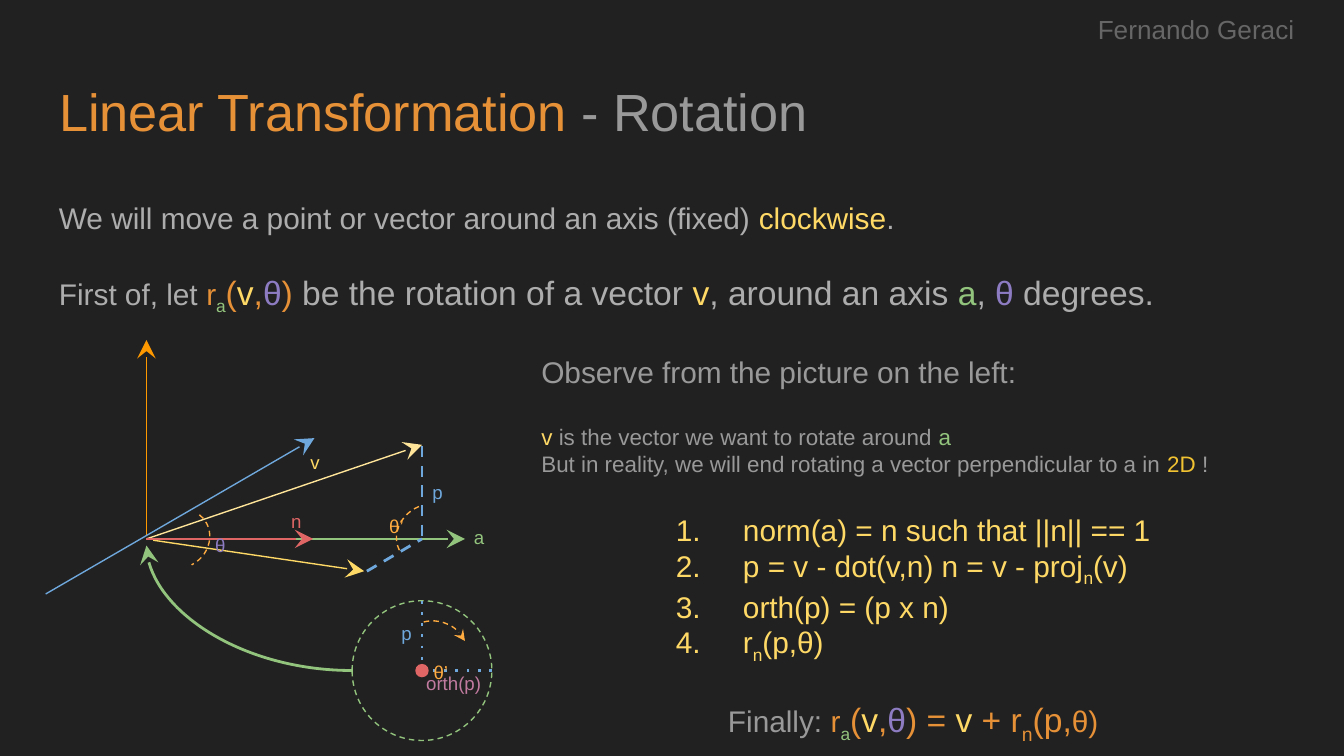
from lxml import etree
from pptx import Presentation
from pptx.dml.color import RGBColor
from pptx.enum.shapes import MSO_CONNECTOR, MSO_SHAPE
from pptx.enum.text import MSO_ANCHOR, MSO_AUTO_SIZE, PP_ALIGN
from pptx.oxml.ns import qn
from pptx.util import Inches, Pt

STRAIGHT, CURVE = MSO_CONNECTOR.STRAIGHT, MSO_CONNECTOR.CURVE
ARC, OVAL = MSO_SHAPE.ARC, MSO_SHAPE.OVAL
TOP, MIDDLE = MSO_ANCHOR.TOP, MSO_ANCHOR.MIDDLE
LEFT, CENTER = PP_ALIGN.LEFT, PP_ALIGN.CENTER

BACKGROUND, GRAY, LIGHT, DIM = "212121", "999999", "ADADAD", "666666"
ORANGE, AMBER, YELLOW, CREAM = "E69138", "FFAB40", "FFD966", "FFE599"
GREEN, BLUE, PURPLE, RED = "93C47D", "6FA8DC", "8E7CC3", "E06666"

# Runs are (text, colour, size, subscript); the last two are optional
ROTATION = [("r", ORANGE, 16), ("a", GREEN, 16, True), ("(", ORANGE, 18),
            ("v", YELLOW, 18), (",", ORANGE, 18), ("θ", PURPLE, 18)]


def rgb(value):
    return RGBColor.from_string(value)


def add_run(p, text, color, size=16, sub=False):
    r = p.add_run()
    r.text = text
    r.font.name = "Arial"
    r.font.size = Pt(size)
    r.font.color.rgb = rgb(color)
    if sub:
        r._r.get_or_add_rPr().set("baseline", "-25000")


def write(p, runs, align=LEFT, spacing=1.0, before=0, after=0, hanging=False):
    p.alignment = align
    p.line_spacing = spacing
    p.space_before, p.space_after = Pt(before), Pt(after)
    if hanging:
        pPr = p._p.get_or_add_pPr()
        pPr.set("marL", str(Inches(1.5)))
        pPr.set("indent", str(Inches(-0.5)))
    for run in runs:
        add_run(p, *run)


def place(sp, x, y, w, h, anchor=TOP):
    sp.left, sp.top = Inches(x), Inches(y)
    sp.width, sp.height = Inches(w), Inches(h)
    tf = sp.text_frame
    tf.word_wrap = True
    tf.auto_size = MSO_AUTO_SIZE.NONE
    tf.vertical_anchor = anchor
    tf.margin_left = tf.margin_right = Inches(0.1)
    tf.margin_top = tf.margin_bottom = Inches(0.1)
    return tf


def add_text(s, box, paragraphs, anchor=TOP):
    """Each paragraph is (runs, format)."""
    tf = place(s.shapes.add_textbox(0, 0, 0, 0), *box, anchor=anchor)
    for i, (runs, fmt) in enumerate(paragraphs):
        p = tf.add_paragraph() if i else tf.paragraphs[0]
        write(p, runs, **fmt)


def add_label(s, text, color, x, y, w=0.47, h=0.36):
    add_text(s, (x, y, w, h), [([(text, color, 10)], {"align": CENTER})], MIDDLE)


def add_angle(s, text, color, x, y, h=0.33):
    fmt = {"align": CENTER, "spacing": 1.15, "after": 16}
    add_text(s, (x, y, 0.36, h), [([(text, color, 10)], fmt)], MIDDLE)


def style_line(line, color, width=0.75, dash=None, head=None):
    line.color.rgb = rgb(color)
    line.width = Pt(width)
    ln = line._get_or_add_ln()
    if dash:
        etree.SubElement(ln, qn("a:prstDash"), val=dash)
    if head:
        etree.SubElement(ln, qn("a:tailEnd"), type="stealth", w=head, len=head)


def add_line(s, start, end, color, width=0.75, dash=None, head=None, kind=STRAIGHT):
    c = s.shapes.add_connector(kind, *map(Inches, start + end))
    style_line(c.line, color, width, dash, head)
    spPr = c._element.spPr
    etree.SubElement(spPr, qn("a:effectLst"))
    if kind == CURVE:  # quarter bend
        spPr.find(qn("a:prstGeom")).set("prst", "curvedConnector2")


def add_arrow(s, start, end, color, **fmt):
    add_line(s, start, end, color, head="lg", **fmt)


def add_figure(s, kind, box, fill=None, line=None, head=None):
    sp = s.shapes.add_shape(kind, *map(Inches, box))
    sp.shadow.inherit = False
    if fill:
        sp.fill.solid()
        sp.fill.fore_color.rgb = rgb(fill)
    else:
        sp.fill.background()
    if line:
        style_line(sp.line, line, dash="dash", head=head)
    else:
        sp.line.fill.background()
    return sp


def add_arc(s, box, rotation, start, end, head=None):
    sp = add_figure(s, ARC, box, line=AMBER, head=head)
    sp.rotation = rotation
    sp.adjustments[0], sp.adjustments[1] = start, end


def add_axes(s):
    origin, tip, foot = (1.09, 4.01), (3.14, 3.31), (3.14, 4.01)
    add_arrow(s, (1.09, 3.99), (1.09, 2.53), "FF9900")
    add_arrow(s, (0.34, 4.42), (2.34, 3.26), BLUE)
    add_arrow(s, (1.11, 4.01), (3.46, 4.01), GREEN)
    add_arrow(s, origin, tip, CREAM)
    add_arrow(s, (1.14, 4.02), (2.71, 4.25), YELLOW)
    add_arrow(s, origin, (2.33, 4.01), RED)
    for end in [(3.14, 3.32), (2.73, 4.25)]:
        add_line(s, end, foot, BLUE, 1.5, "dash")
    add_arc(s, (2.97, 3.73, 0.43, 0.49), 234.3, 165.96, 10.99)
    add_arc(s, (1.13, 3.78, 0.42, 0.46), 47.9, 156.45, 10.99)
    add_label(s, "v", YELLOW, 2.11, 3.26)
    add_label(s, "n", RED, 1.97, 3.7)
    add_label(s, "p", BLUE, 3.02, 3.48)
    add_label(s, "a", GREEN, 3.33, 3.82)
    add_angle(s, "θ", PURPLE, 1.46, 3.81, 0.46)
    add_angle(s, "θ’", AMBER, 2.77, 3.74)


def add_rotation_plane(s):
    x, y, radius, dot = 3.14, 4.99, 0.52, 0.05
    add_figure(s, OVAL, (x - radius, y - radius, 2 * radius, 2 * radius), line=GREEN)
    for end in [(x, y - radius), (x + radius, y)]:
        add_line(s, end, (x, y), BLUE, 1.5, "dot")
    add_angle(s, "θ’", AMBER, 3.1, 4.82)
    add_label(s, "p", BLUE, 2.79, 4.53)
    add_label(s, "orth(p)", "C27BA0", 3, 4.9, w=0.75)
    add_arrow(s, (x - radius, y), (1.09, 4.06), GREEN, width=1.5, kind=CURVE)
    add_figure(s, OVAL, (x - dot, y - dot, 2 * dot, 2 * dot), fill=RED)
    add_arc(s, (2.95, 4.62, 0.54, 0.55), 355.3, 156.45, 202.27, head="med")


def main():
    prs = Presentation()
    prs.slide_width, prs.slide_height = Inches(10), Inches(10) * 9 // 16
    s = prs.slides.add_slide(prs.slide_layouts[5])
    s.background.fill.solid()
    s.background.fill.fore_color.rgb = rgb(BACKGROUND)

    # Title and introduction
    tf = place(s.shapes.title, 0.34, 0.49, 9.32, 0.63)
    write(tf.paragraphs[0], [("Linear Transformation ", ORANGE, 28),
                             ("- Rotation", GRAY, 28)])
    intro = {"spacing": 1.15, "after": 16}
    add_text(s, (0.34, 1.26, 9.32, 1.28), [
        ([("We will move a point or vector around an axis (fixed) ", LIGHT),
          ("clockwise", YELLOW), (".", LIGHT)], intro),
        ([("First of, let ", LIGHT), *ROTATION, (")", ORANGE, 18),
          (" be the rotation of a vector ", LIGHT, 18), ("v", YELLOW, 18),
          (", around an axis ", LIGHT, 18), ("a", GREEN, 18), (", ", LIGHT, 18),
          ("θ", PURPLE, 18), (" degrees.", LIGHT, 18)], intro),
    ], MIDDLE)

    # Diagram
    add_axes(s)
    add_rotation_plane(s)

    # Explanation, steps and result
    apart = {"before": 18.4}
    step = {"hanging": True}
    add_text(s, (3.93, 2.53, 5.73, 3.09), [
        ([("Observe from the picture on the left:", GRAY)], {}),
        ([("v", YELLOW, 12), (" is the vector we want to rotate around ", GRAY, 12),
          ("a", GREEN, 12)], apart),
        ([("But in reality, we will end rotating a vector perpendicular to a in ",
           GRAY, 12), ("2D", "F1C232", 12), (" !", GRAY, 12)], {}),
        ([("1.\tnorm(a) = n such that ||n|| == 1", YELLOW)], {**step, **apart}),
        ([("2.\tp = v - dot(v,n) n = v - proj", YELLOW), ("n", YELLOW, 16, True),
          ("(v)", YELLOW)], step),
        ([("3.\torth(p) = (p x n)", YELLOW)], step),
        ([("4.\tr", YELLOW), ("n", YELLOW, 16, True), ("(p,θ)", YELLOW)], step),
        ([("Finally: ", GRAY), *ROTATION, (") = ", ORANGE, 18), ("v", YELLOW, 18),
          (" + r", ORANGE, 18), ("n", ORANGE, 18, True), ("(p,", ORANGE, 18),
          ("θ)", ORANGE)], {**apart, "align": CENTER}),
    ])

    # Author
    add_text(s, (7.8, 0, 2.2, 0.46),
             [([("Fernando Geraci", DIM, 14)], {"align": CENTER})])
    prs.save("out.pptx")


if __name__ == "__main__":
    main()
